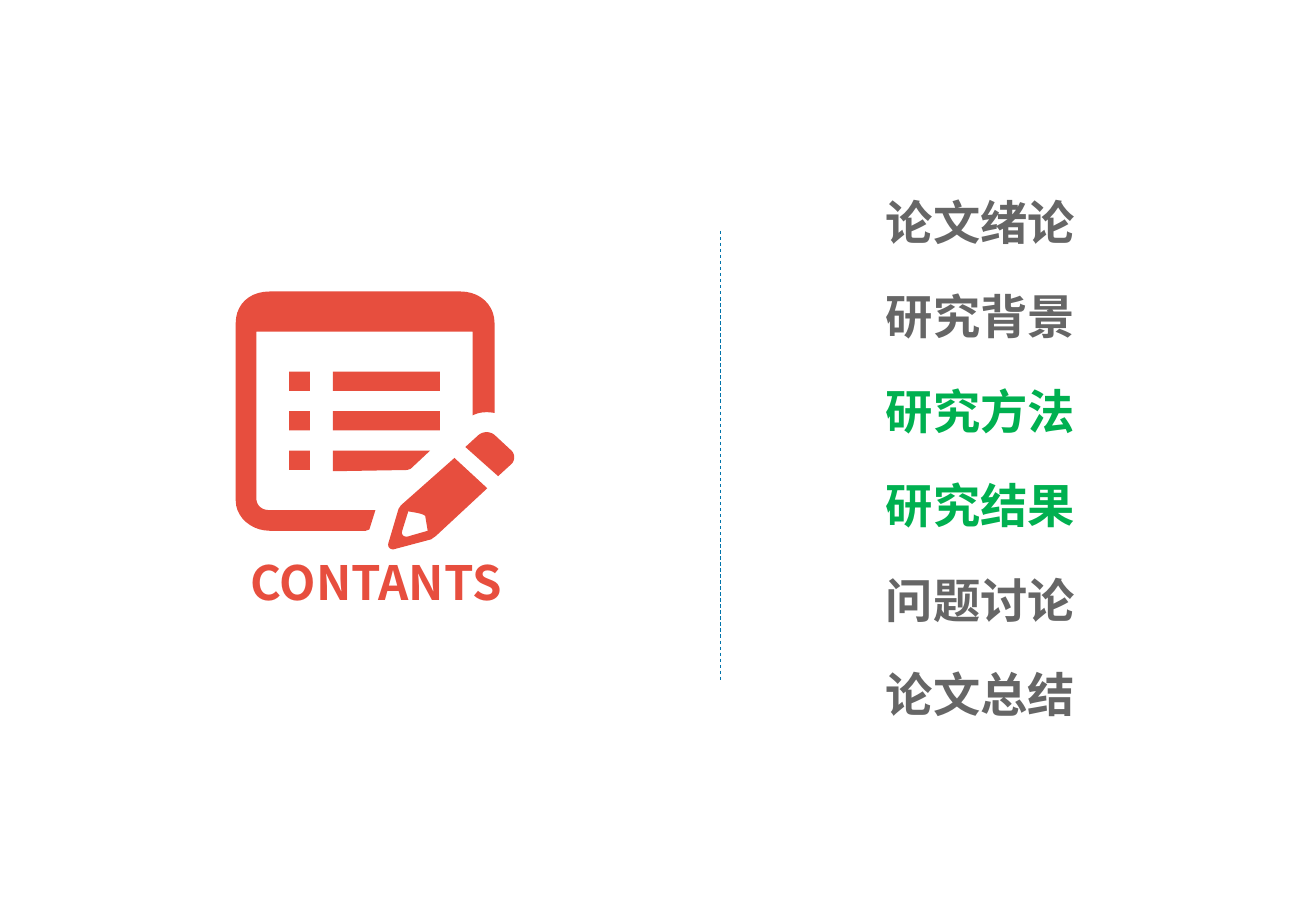
from lxml.etree import SubElement
from pptx import Presentation
from pptx.dml.color import RGBColor
from pptx.enum.dml import MSO_LINE
from pptx.enum.shapes import MSO_CONNECTOR, MSO_SHAPE
from pptx.enum.text import MSO_ANCHOR, MSO_AUTO_SIZE, PP_ALIGN
from pptx.oxml.ns import qn
from pptx.util import Inches, Pt

COLORS = {"red": "E74E3E", "grey": "666666", "green": "00B050", "blue": "0174AB"}
FONT = "Noto Sans CJK SC"
AGENDA = [("论文绪论", "grey"), ("研究背景", "grey"), ("研究方法", "green"),
          ("研究结果", "green"), ("问题讨论", "grey"), ("论文总结", "grey")]

# Icon outlines in inches from the icon's corner:
# a pair is a corner, six numbers are a cubic curve
FRAME = [(1.15, 1.8), (1.1, 1.96), (1.07, 1.97), (0.28, 1.97),
         (0.13, 1.97, 0, 1.86, 0, 1.72), (0, 0.26),
         (0, 0.11, 0.11, 0, 0.28, 0), (1.85, 0),
         (2.01, 0, 2.13, 0.11, 2.13, 0.26), (2.13, 1),
         (2.07, 0.99, 2.01, 0.99, 1.95, 1.02), (1.95, 0.33),
         (0.17, 0.33), (0.17, 1.7), (0.17, 1.76, 0.21, 1.8, 0.28, 1.8)]
PENCIL = [(1.8, 1.37), (2.07, 1.62), (1.65, 2.01),
          (1.64, 2.02, 1.62, 2.03, 1.61, 2.04), (1.31, 2.12),
          (1.28, 2.13, 1.24, 2.11, 1.26, 2.06), (1.34, 1.79), (1.36, 1.76)]
PENCIL_TIP = [(1.42, 1.81), (1.37, 1.97), (1.36, 2.01, 1.39, 2.03, 1.44, 2.01),
              (1.58, 1.97), (1.56, 1.85), (1.55, 1.83, 1.48, 1.82, 1.42, 1.81)]
ERASER = [(1.89, 1.28), (2, 1.18), (2.04, 1.15, 2.09, 1.15, 2.13, 1.18),
          (2.27, 1.31), (2.3, 1.34, 2.3, 1.39, 2.27, 1.42), (2.16, 1.52)]
CUT_BAR = [(0.8, 1.31), (1.6, 1.31), (1.44, 1.46), (1.41, 1.47), (0.8, 1.48)]


def rgb(name):
    return RGBColor.from_string(COLORS[name])


def flatten(outline, steps=10):
    """Turn corners and cubic curves into a list of points."""
    points = []
    for part in outline:
        if len(part) == 2:
            points.append(part)
            continue
        (x0, y0), (x1, y1, x2, y2, x3, y3) = points[-1], part
        for i in range(1, steps + 1):
            t = i / steps
            a, b, c, d = (1 - t) ** 3, 3 * t * (1 - t) ** 2, 3 * t * t * (1 - t), t ** 3
            points.append((a * x0 + b * x1 + c * x2 + d * x3,
                           a * y0 + b * y1 + c * y2 + d * y3))
    return points


def paint(sp):
    sp.shadow.inherit = False
    sp.fill.solid()
    sp.fill.fore_color.rgb = rgb("red")
    sp.line.fill.background()


def add_outline(s, left, top, *outlines):
    builder = None
    for outline in outlines:
        points = [(Inches(left + x), Inches(top + y)) for x, y in flatten(outline)]
        if builder is None:
            builder = s.shapes.build_freeform(*points[0])
        else:
            builder.move_to(*points[0])
        builder.add_line_segments(points[1:], close=True)
    paint(builder.convert_to_shape())


def add_icon(s, left, top):
    # Page and pencil
    for outlines in ([FRAME], [PENCIL, PENCIL_TIP], [ERASER], [CUT_BAR]):
        add_outline(s, left, top, *outlines)
    # Three list markers, two full bars
    markers = [(0.44, 0.17, row) for row in range(3)]
    bars = [(0.8, 0.88, row) for row in range(2)]
    for x, width, row in markers + bars:
        paint(s.shapes.add_shape(
            MSO_SHAPE.RECTANGLE, Inches(left + x), Inches(top + 0.66 + row * 0.325),
            Inches(width), Inches(0.16)))


def place(sp, left, top, width, height, anchor):
    sp.left, sp.top = Inches(left), Inches(top)
    sp.width, sp.height = Inches(width), Inches(height)
    tf = sp.text_frame
    tf.word_wrap = True
    tf.auto_size = MSO_AUTO_SIZE.NONE
    tf.vertical_anchor = anchor
    tf.margin_top = tf.margin_bottom = 0
    return tf


def style(p, color):
    for r in p.runs:
        r.font.size, r.font.bold, r.font.name = Pt(28), True, FONT
        r.font.color.rgb = rgb(color)
        SubElement(r.font._element, qn("a:ea"), typeface=FONT)


def add_heading(s, left, top, width, height):
    tf = place(s.shapes.title, left, top, width, height, MSO_ANCHOR.MIDDLE)
    tf.text = "CONTANTS"
    tf.paragraphs[0].alignment = PP_ALIGN.CENTER
    style(tf.paragraphs[0], "red")


def add_agenda(s, left, top, width, height):
    tf = place(s.placeholders[1], left, top, width, height, MSO_ANCHOR.TOP)
    tf.text = "\n".join(label for label, _ in AGENDA)
    for p, (_, color) in zip(tf.paragraphs, AGENDA):
        p.line_spacing = Pt(56)
        p.space_before = Pt(0)
        pPr = p._p.get_or_add_pPr()
        pPr.set("marL", "0")
        pPr.set("indent", "0")
        SubElement(pPr, qn("a:buNone"))
        style(p, color)


def add_divider(s, x, top, bottom):
    line = s.shapes.add_connector(MSO_CONNECTOR.STRAIGHT, Inches(x), Inches(top),
                                  Inches(x), Inches(bottom))
    line.line.color.rgb = rgb("blue")
    line.line.width = Pt(0.5)
    line.line.dash_style = MSO_LINE.DASH
    SubElement(line._element.spPr, qn("a:effectLst"))


def main():
    prs = Presentation()
    prs.slide_width, prs.slide_height = Inches(10.83), Inches(7.5)
    s = prs.slides.add_slide(prs.slide_layouts[1])
    add_divider(s, 5.93, 1.9, 5.6)
    add_agenda(s, 7.19, 1.28, 2.13, 4.7)
    add_icon(s, 1.94, 2.4)
    add_heading(s, 1.52, 4.5, 3.15, 0.58)
    prs.save("out.pptx")


if __name__ == "__main__":
    main()
